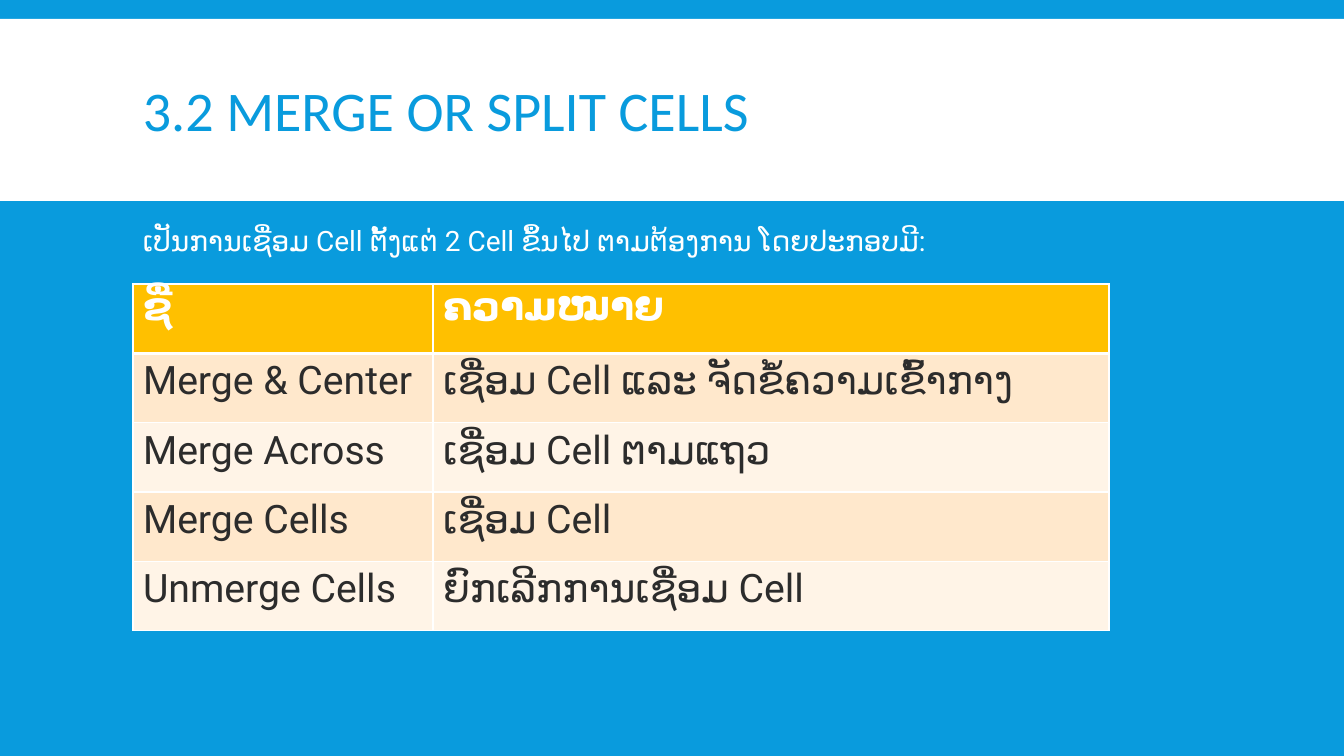
import pptx
import pptx.util
import pptx.dml.color
import pptx.enum.shapes
import pptx.enum.text
import pptx.oxml

SCALE = 914400 / 100.8
COLORS = {"blue": "099BDD", "white": "FFFFFF", "gold": "FFC000",
          "peach": "FFE8CC", "cream": "FFF4E7", "ink": "2C2C2C"}
TITLE = {"name": "Calibri", "size": pptx.util.Pt(40)}
INTRO = {"name": "Roboto", "size": pptx.util.Pt(20)}
HEADER = {"name": "Roboto", "size": pptx.util.Pt(28), "bold": True}
ENTRY = {**HEADER, "bold": False}
MEANINGS = [
    ("ຊື່", "ຄວາມໝາຍ"),
    ("Merge & Center", "ເຊື່ອມ Cell ແລະ ຈັດຂໍ້ຄວາມເຂົ້າກາງ"),
    ("Merge Across", "ເຊື່ອມ Cell ຕາມແຖວ"),
    ("Merge Cells", "ເຊື່ອມ Cell"),
    ("Unmerge Cells", "ຍົກເລີກການເຊື່ອມ Cell"),
]


def emu(*pixels):
    return [pptx.util.Emu(round(pixel * SCALE)) for pixel in pixels]


def rgb(name):
    return pptx.dml.color.RGBColor.from_string(COLORS[name])


def paint(fill, color):
    fill.solid()
    fill.fore_color.rgb = rgb(color)


def write(frame, text, font, color, **spacing):
    para = frame.paragraphs[0]
    for name, value in spacing.items():
        setattr(para, name, value)
    span = para.add_run()
    span.text = text
    for name, value in font.items():
        setattr(span.font, name, value)
    span.font.color.rgb = rgb(color)


def add_text(page, box, text, font, color, anchor, **spacing):
    frame = page.shapes.add_textbox(*emu(*box)).text_frame
    frame.word_wrap = True
    frame.vertical_anchor = anchor
    write(frame, text, font, color, **spacing)


def add_heading(page, box):
    left, top, width, height = box
    band = page.shapes.add_shape(pptx.enum.shapes.MSO_SHAPE.RECTANGLE, *emu(*box))
    band.shadow.inherit = False
    paint(band.fill, "white")
    band.line.fill.background()
    add_text(page, (left + 133, top + 12, width - 265, height - 15),
             "3.2 MERGE OR SPLIT CELLS", TITLE, "blue",
             pptx.enum.text.MSO_ANCHOR.MIDDLE, line_spacing=0.85)


def add_intro(page, box):
    add_text(page, box, "ເປັນການເຊື່ອມ Cell ຕັ້ງແຕ່ 2 Cell ຂຶ້ນໄປ ຕາມຕ້ອງການ ໂດຍປະກອບມີ:",
             INTRO, "white", pptx.enum.text.MSO_ANCHOR.TOP, line_spacing=0.9,
             space_before=pptx.util.Pt(12), space_after=pptx.util.Pt(2))


def add_borders(cell, **points):
    properties = cell._tc.get_or_add_tcPr()
    for side in "LRTB":
        width = pptx.util.Pt(points.get(side, 1))
        properties.append(pptx.oxml.parse_xml(
            f'<a:ln{side} xmlns:a="http://schemas.openxmlformats.org/drawingml/2006/main" '
            f'w="{width}"><a:solidFill><a:srgbClr val="{COLORS["white"]}"/>'
            f'</a:solidFill></a:ln{side}>'))


def add_meanings(page, box):
    left, top, width, height = box
    table = page.shapes.add_table(len(MEANINGS), 2, *emu(*box)).table
    table.columns[0].width, table.columns[1].width = emu(300, width - 300)
    for row, texts in enumerate(MEANINGS):
        table.rows[row].height = emu(height / len(MEANINGS))[0]
        if row == 0:
            fill, font, color, borders = "gold", HEADER, "white", {"B": 3}
        else:
            fill = "peach" if row % 2 else "cream"
            font, color, borders = ENTRY, "ink", {"T": 3} if row == 1 else {}
        for column, text in enumerate(texts):
            cell = table.cell(row, column)
            add_borders(cell, **borders)
            paint(cell.fill, fill)
            write(cell.text_frame, text, font, color)


deck = pptx.Presentation()
deck.slide_width, deck.slide_height = emu(1344, 756)
page = deck.slides.add_slide(deck.slide_layouts[6])
paint(page.background.fill, "blue")
add_heading(page, (0, 19, 1344, 182))
add_intro(page, (133, 222, 875, 42))
add_meanings(page, (133, 284, 976, 347))
deck.save("out.pptx")
